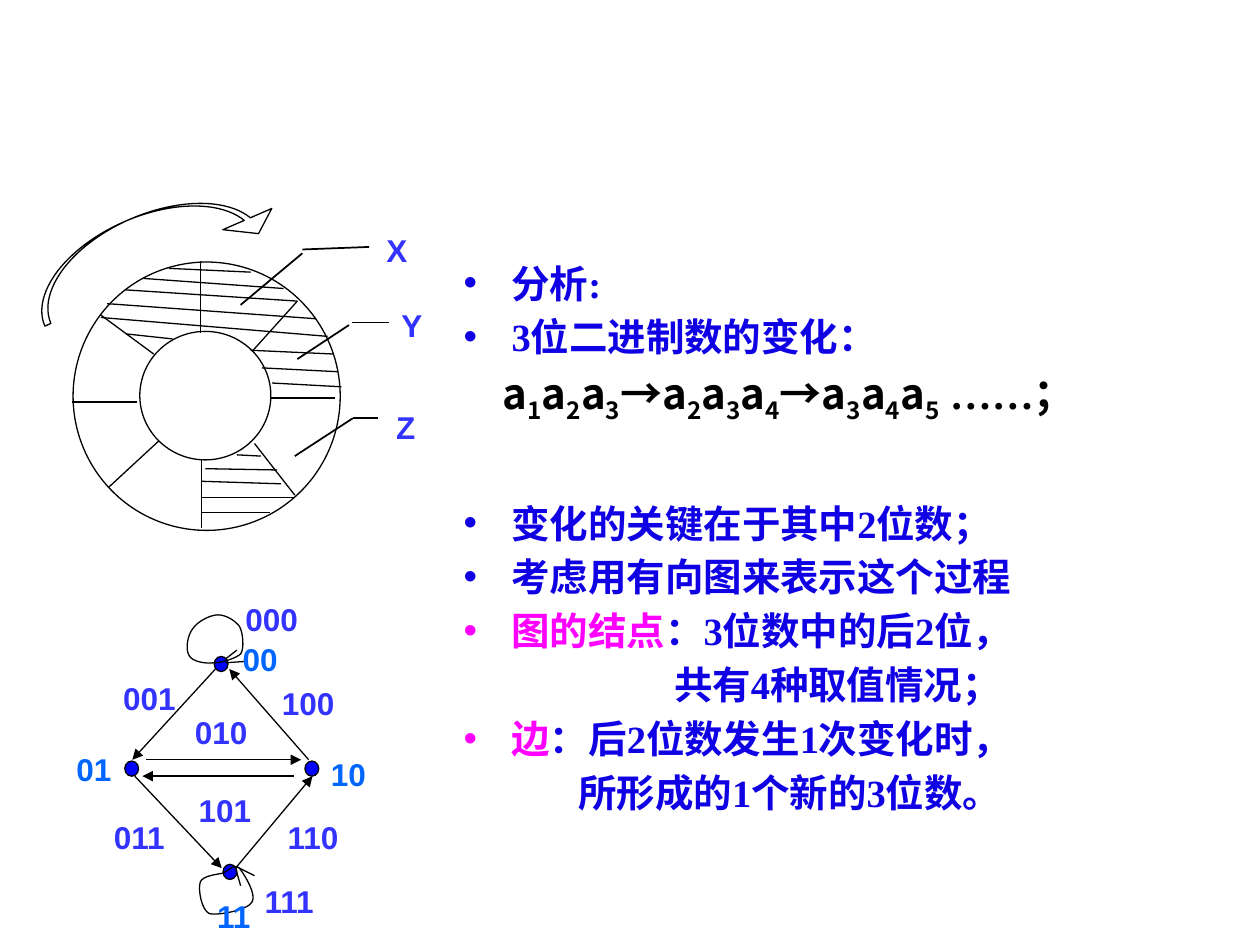
from lxml import etree
from pptx import Presentation
from pptx import util as u
from pptx.dml.color import RGBColor
from pptx.enum import shapes, text
from pptx.oxml.ns import qn

PX = 9144  # EMU in one px, 100 px to the inch
BLACK, BLUE, PINK = "000000", "1000E4", "FF00FF"
NODE_BLUE, NODE_TEXT, LABEL = "0000FF", "0066FF", "3333FF"
SERIF, SANS, HAN = "Times New Roman", "Arial", "Noto Sans CJK SC"

BODY_BOX = (358, 201, 623, 531)
FORMULA_START = 31
# (bullet, left indent, space before in points, [(wording, colour), ...])
FORMULA = ["a", "1", "a", "2", "a", "3", "→a", "2", "a", "3", "a", "4",
           "→a", "3", "a", "4", "a", "5", " ……", "；"]
NOTES = [
    (True, 38, 0, [("分析:", BLUE)]),
    (True, 38, 4.4, [("3位二进制数的变化：", BLUE)]),
    (False, FORMULA_START, 8.4, FORMULA),
    (True, 38, 42.8, [("变化的关键在于其中2位数；", BLUE)]),
    (True, 38, 4.4, [("考虑用有向图来表示这个过程", BLUE)]),
    (True, 38, 4.4, [("图的结点", PINK), ("：3位数中的后2位，", BLUE)]),
    (False, 167, 4.4, [("共有4种取值情况；", BLUE)]),
    (True, 38, 4.4, [("边", PINK), ("：后2位数发生1次变化时，", BLUE)]),
    (False, 91, 4.4, [("所形成的1个新的3位数。", BLUE)]),
]

DRUM_RINGS = [(58, 208, 212, 213), (111, 263, 104, 102)]
SECTOR_EDGES = [
    (57, 319, 109, 319), (214, 316, 266, 316), (159, 207, 159, 264),
    (160, 365, 160, 419), (200, 279, 236, 239), (122, 281, 80, 250),
    (126, 350, 86, 387), (202, 352, 234, 393),
]
HATCHING = [
    (134, 213, 199, 216), (114, 221, 225, 229), (99, 230, 236, 239),
    (85, 241, 251, 253), (80, 252, 260, 267), (100, 265, 137, 269),
    (199, 278, 265, 281), (208, 292, 268, 295), (216, 304, 271, 307),
    (188, 361, 207, 362), (163, 372, 220, 373), (160, 382, 223, 384),
    (160, 395, 233, 395), (160, 407, 214, 407),
]
LEADERS = [
    (191, 242, 240, 201), (240, 198, 293, 196),
    (236, 285, 277, 258), (279, 256, 309, 256),
    (234, 362, 280, 332), (280, 332, 300, 332),
]
TURN_ARROW = (17, 169, 206, 51)

NODES = [(170, 521), (177, 686), (99, 604), (242, 604)]
EDGES = [
    (171, 531, 105, 603), (107, 616, 176, 689), (187, 689, 248, 616),
    (245, 603, 182, 531), (116, 603, 239, 603), (233, 616, 113, 616),
]
# start point, then cubic segments: two control points and an end point
LOOPS = [
    ((170, 526), [(163, 527, 152, 525, 150, 520), (147, 515, 149, 504, 153, 499),
                  (157, 493, 167, 488, 173, 488), (179, 488, 186, 492, 190, 497),
                  (193, 502, 194, 515, 191, 519), (188, 522, 177, 526, 170, 526)]),
    ((177, 693), [(172, 694, 161, 695, 159, 700), (157, 706, 160, 722, 166, 725),
                  (173, 727, 197, 722, 200, 716), (204, 710, 194, 694, 190, 689),
                  (185, 685, 182, 691, 177, 693)]),
]
LOOP_BARBS = [(179, 523, 188, 516), (179, 526, 194, 525),
              (187, 689, 191, 703), (188, 688, 202, 695)]

LABEL_WIDTHS = {1: 34, 2: 31, 3: 43}
LABELS = [
    ("Z", 305, 324), ("Y", 310, 243), ("X", 298, 183),
    ("00", 191, 508), ("10", 261, 599), ("01", 59, 595), ("11", 170, 712),
    ("001", 97, 539), ("011", 89, 649), ("110", 227, 649), ("100", 223, 543),
    ("000", 194, 476), ("111", 208, 700), ("010", 154, 566), ("101", 157, 628),
]

deck = Presentation()
deck.slide_width, deck.slide_height = 1000 * PX, 750 * PX
page = deck.slides.add_slide(deck.slide_layouts[1])


def rgb(value):
    return RGBColor.from_string(value)


def emu(lengths):
    return [length * PX for length in lengths]


def add_span(para, wording, font, size, colour):
    span = para.add_run()
    span.text = wording
    span.font.name, span.font.size = font, u.Pt(size)
    span.font.bold = True
    span.font.color.rgb = rgb(colour)
    return span


def outline(shape, fill=None):
    shape.shadow.inherit = False
    shape.line.color.rgb = rgb(BLACK)
    shape.line.width = u.Pt(0.75)
    if fill:
        shape.fill.solid()
        shape.fill.fore_color.rgb = rgb(fill)
    else:
        shape.fill.background()


def add_line(ends, width=0.75, arrow=False):
    line = page.shapes.add_connector(shapes.MSO_CONNECTOR.STRAIGHT, *emu(ends))
    line.line.color.rgb = rgb(BLACK)
    line.line.width = u.Pt(width)
    if arrow:
        etree.SubElement(line.line._get_or_add_ln(), qn("a:tailEnd"), type="triangle")
    etree.SubElement(line._element.spPr, qn("a:effectLst"))


def add_ellipse(bounds, fill=None):
    outline(page.shapes.add_shape(shapes.MSO_SHAPE.OVAL, *emu(bounds)), fill)


def add_loop(start, segments):
    """Draw a closed outline, turning each three straight steps into one cubic curve."""
    builder = page.shapes.build_freeform(*emu(start))
    points = [emu(segment[i:i + 2]) for segment in segments for i in (0, 2, 4)]
    builder.add_line_segments(points, close=True)
    loop = builder.convert_to_shape()
    steps = list(loop._element.iter(qn("a:lnTo")))
    for index in range(0, len(steps), 3):
        curve = etree.Element(qn("a:cubicBezTo"))
        steps[index].addprevious(curve)
        for step in steps[index:index + 3]:
            curve.append(step[0])
            step.getparent().remove(step)
    outline(loop)


def add_notes():
    body = page.placeholders[1]
    body.left, body.top, body.width, body.height = emu(BODY_BOX)
    frame = body.text_frame
    frame.auto_size = text.MSO_AUTO_SIZE.NONE
    frame.vertical_anchor = text.MSO_ANCHOR.TOP
    for index, (bullet, left, before, parts) in enumerate(NOTES):
        para = frame.paragraphs[0] if index == 0 else frame.add_paragraph()
        props = para._p.get_or_add_pPr()
        props.set("marL", str(left * PX))
        props.set("indent", str(-38 * PX if bullet else 0))
        if not bullet:
            etree.SubElement(props, qn("a:buNone"))
        size = 24 if parts is FORMULA else 22
        para.space_before = u.Pt(before)
        para.line_spacing = u.Pt(size * 1.2)
        for part in parts:
            if parts is FORMULA:
                font = SERIF if "…" in part else HAN
                span = add_span(para, part, font, size, BLACK)
                if part.isdigit():
                    span.font._element.set("baseline", "-25000")
            else:
                add_span(para, part[0], SERIF, size, part[1])


def add_label(wording, left, top):
    box = page.shapes.add_textbox(*emu((left, top, LABEL_WIDTHS[len(wording)], 30)))
    frame = box.text_frame
    frame.word_wrap = False
    frame.margin_left = frame.margin_right = frame.margin_top = frame.margin_bottom = 0
    para = frame.paragraphs[0]
    para.alignment = text.PP_ALIGN.CENTER
    add_span(para, wording, SANS, 18, NODE_TEXT if len(wording) == 2 else LABEL)


title = page.shapes.title._element
title.getparent().remove(title)
add_notes()

for ring in DRUM_RINGS:
    add_ellipse(ring)
for ends in SECTOR_EDGES + HATCHING:
    add_line(ends)
for ends in LEADERS:
    add_line(ends, width=1)
turn = page.shapes.add_shape(shapes.MSO_SHAPE.CURVED_DOWN_ARROW, *emu(TURN_ARROW))
turn.rotation = 336.6
for index, value in enumerate((0.104, 0.831, 0.277)):
    turn.adjustments[index] = value
outline(turn)

for left, top in NODES:
    add_ellipse((left, top, 11, 12), NODE_BLUE)
for ends in EDGES:
    add_line(ends, arrow=True)
for loop in LOOPS:
    add_loop(*loop)
for ends in LOOP_BARBS:
    add_line(ends)
for label in LABELS:
    add_label(*label)

deck.save("out.pptx")
